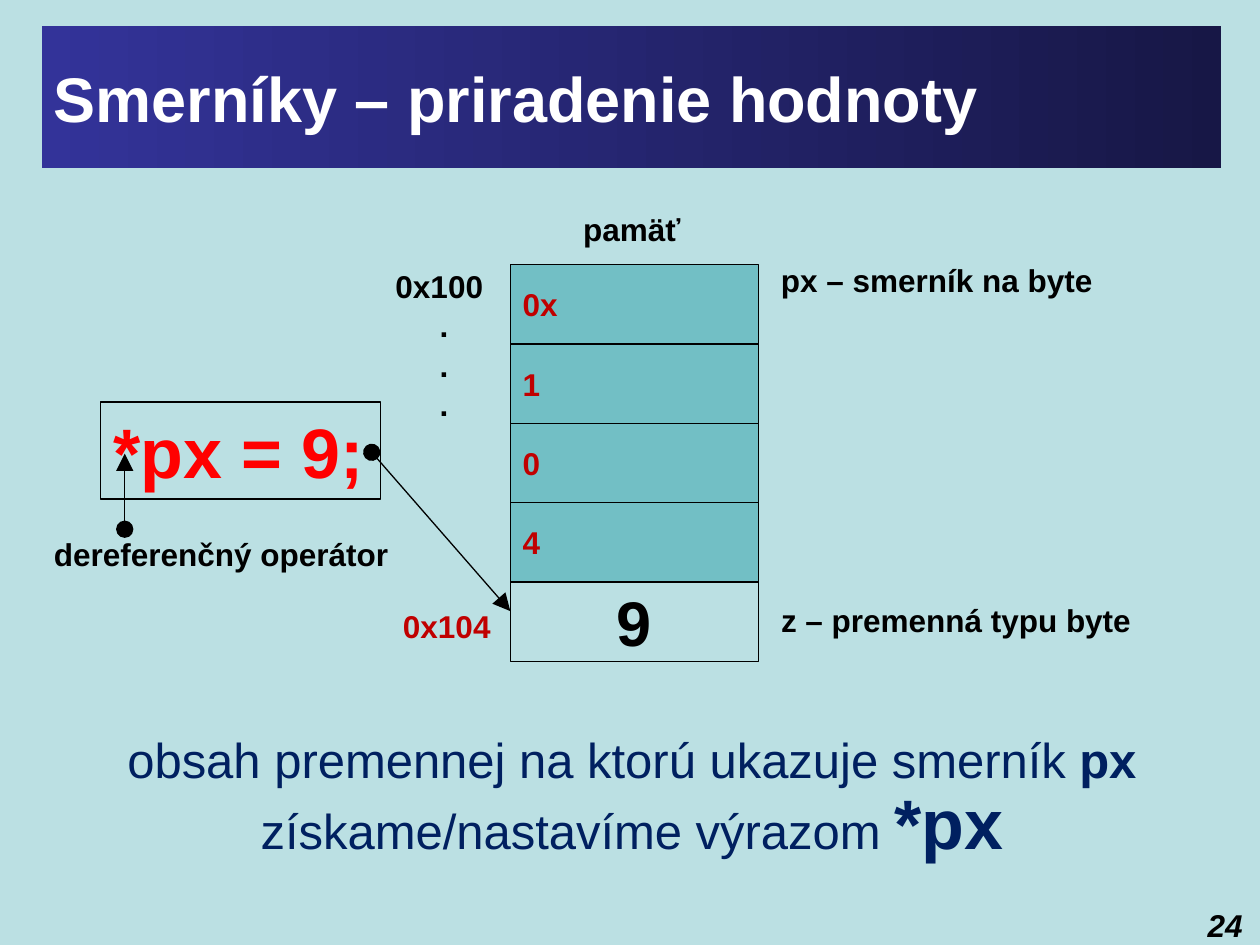
from dataclasses import dataclass
from typing import Optional

import lxml.etree
import pptx
import pptx.dml.color
import pptx.enum.shapes
import pptx.enum.text
import pptx.oxml.ns
import pptx.util

Inches = pptx.util.Inches
Pt = pptx.util.Pt
RGBColor = pptx.dml.color.RGBColor
Align = pptx.enum.text.PP_ALIGN
Anchor = pptx.enum.text.MSO_ANCHOR
qn = pptx.oxml.ns.qn

FONT = "Arial"
BLACK = RGBColor(0x00, 0x00, 0x00)
WHITE = RGBColor(0xFF, 0xFF, 0xFF)
RED = RGBColor(0xFF, 0x00, 0x00)
DARK_RED = RGBColor(0xC0, 0x00, 0x00)
NAVY = RGBColor(0x00, 0x20, 0x60)
PALE_TEAL = RGBColor(0xBB, 0xE0, 0xE3)
TEAL = RGBColor(0x72, 0xBF, 0xC5)
BANNER_START = RGBColor(0x33, 0x33, 0x99)
BANNER_END = RGBColor(0x17, 0x17, 0x46)

MEMORY_LEFT = 4.05
MEMORY_TOP = 2.1
CELL_WIDTH = 1.97
CELL_HEIGHT = 0.63


@dataclass(frozen=True)
class Label:
    text: str
    left: float
    top: float
    width: float
    height: float = 0.4
    size: float = 18
    color: RGBColor = BLACK
    align: Align = Align.LEFT
    italic: bool = False
    wrap: bool = False


@dataclass(frozen=True)
class Cell:
    value: str
    fill: RGBColor = TEAL
    color: RGBColor = DARK_RED
    size: float = 18
    align: Align = Align.LEFT


@dataclass(frozen=True)
class Arrow:
    start: tuple[float, float]
    end: tuple[float, float]


@dataclass(frozen=True)
class Phrase:
    text: str
    size: float = 28
    bold: bool = False


LABELS = [
    Label("24", 9.43, 7.14, 0.53, 0.31, align=Align.RIGHT, italic=True, wrap=True),
    Label("pamäť", 4.53, 1.62, 0.98),
    Label("px – smerník na byte", 6.1, 2.02, 2.7),
    Label("z – premenná typu byte", 6.1, 4.72, 3.01),
    Label("0x104", 3.1, 4.77, 0.9, color=DARK_RED),
    Label("dereferenčný operátor", 0.33, 4.2, 2.88),
]
CELLS = [
    Cell("0x"),
    Cell("1"),
    Cell("0"),
    Cell("4"),
    Cell("9", PALE_TEAL, BLACK, 36, Align.CENTER),
]
ARROWS = [Arrow((2.95, 3.59), (4.05, 4.85)), Arrow((0.99, 4.2), (0.99, 3.6))]
SUMMARY = [
    Phrase("obsah premennej na ktorú ukazuje smerník "),
    Phrase("px", bold=True),
    Phrase(" získame/nastavíme výrazom "),
    Phrase("*px", 40, True),
]


def style_run(run, size: float, color: RGBColor, bold: bool = True, italic: bool = False) -> None:
    run.font.name = FONT
    run.font.size = Pt(size)
    run.font.bold = bold
    run.font.italic = italic
    run.font.color.rgb = color


def outline(shape, color: Optional[RGBColor] = BLACK) -> None:
    shape.line.color.rgb = color
    shape.line.width = Pt(0.75)


def draw_label(slide, label: Label):
    box = slide.shapes.add_textbox(
        Inches(label.left), Inches(label.top), Inches(label.width), Inches(label.height)
    )
    box.text_frame.word_wrap = label.wrap
    box.text_frame.text = label.text
    for paragraph in box.text_frame.paragraphs:
        paragraph.alignment = label.align
        for run in paragraph.runs:
            style_run(run, label.size, label.color, italic=label.italic)
    return box


def draw_title(slide) -> None:
    title = draw_label(
        slide,
        Label("Smerníky – priradenie hodnoty", 0.33, 0.21, 9.36, 1.12, 36, WHITE, wrap=True),
    )
    title.text_frame.vertical_anchor = Anchor.MIDDLE
    title.fill.gradient()
    title.fill.gradient_angle = 0
    for stop, color in zip(title.fill.gradient_stops, (BANNER_START, BANNER_END)):
        stop.color.rgb = color


def draw_addresses(slide) -> None:
    addresses = draw_label(slide, Label("0x100\n.\n.\n.", 3.04, 2.07, 1.02, 1.3, wrap=True))
    for dot in addresses.text_frame.paragraphs[1:]:
        dot.space_before = Pt(0.9)
        dot._p.get_or_add_pPr().set("marL", str(Inches(0.35)))


def draw_cell(slide, cell: Cell, index: int) -> None:
    box = slide.shapes.add_shape(
        pptx.enum.shapes.MSO_SHAPE.RECTANGLE,
        Inches(MEMORY_LEFT),
        Inches(MEMORY_TOP + index * CELL_HEIGHT),
        Inches(CELL_WIDTH),
        Inches(CELL_HEIGHT),
    )
    box.shadow.inherit = False
    box.fill.solid()
    box.fill.fore_color.rgb = cell.fill
    outline(box)
    box.text_frame.vertical_anchor = Anchor.MIDDLE
    box.text_frame.text = cell.value
    paragraph = box.text_frame.paragraphs[0]
    paragraph.alignment = cell.align
    style_run(paragraph.runs[0], cell.size, cell.color)


def draw_arrow(slide, arrow: Arrow) -> None:
    line = slide.shapes.add_connector(
        pptx.enum.shapes.MSO_CONNECTOR.STRAIGHT,
        *(Inches(coordinate) for coordinate in arrow.start + arrow.end),
    )
    outline(line)
    stroke = line.line._get_or_add_ln()
    for tag, kind in (("a:headEnd", "oval"), ("a:tailEnd", "triangle")):
        lxml.etree.SubElement(stroke, qn(tag), type=kind, w="lg", len="lg")
    lxml.etree.SubElement(line._element.spPr, qn("a:effectLst"))


def draw_summary(slide) -> None:
    box = slide.shapes.add_textbox(Inches(0.33), Inches(5.79), Inches(9.37), Inches(1.13))
    box.text_frame.word_wrap = True
    paragraph = box.text_frame.paragraphs[0]
    paragraph.alignment = Align.CENTER
    paragraph.line_spacing = 0.9
    for phrase in SUMMARY:
        run = paragraph.add_run()
        run.text = phrase.text
        style_run(run, phrase.size, NAVY, phrase.bold)


def main() -> None:
    presentation = pptx.Presentation()
    presentation.slide_width = Inches(10)
    presentation.slide_height = Inches(7.5)
    slide = presentation.slides.add_slide(presentation.slide_layouts[6])
    slide.background.fill.solid()
    slide.background.fill.fore_color.rgb = PALE_TEAL

    draw_title(slide)
    draw_addresses(slide)
    for index, cell in enumerate(CELLS):
        draw_cell(slide, cell, index)
    for label in LABELS:
        draw_label(slide, label)
    outline(draw_label(slide, Label("*px = 9;", 0.8, 3.19, 2.22, 0.77, 40, RED)))
    for arrow in ARROWS:
        draw_arrow(slide, arrow)
    draw_summary(slide)
    presentation.save("out.pptx")


if __name__ == "__main__":
    main()
